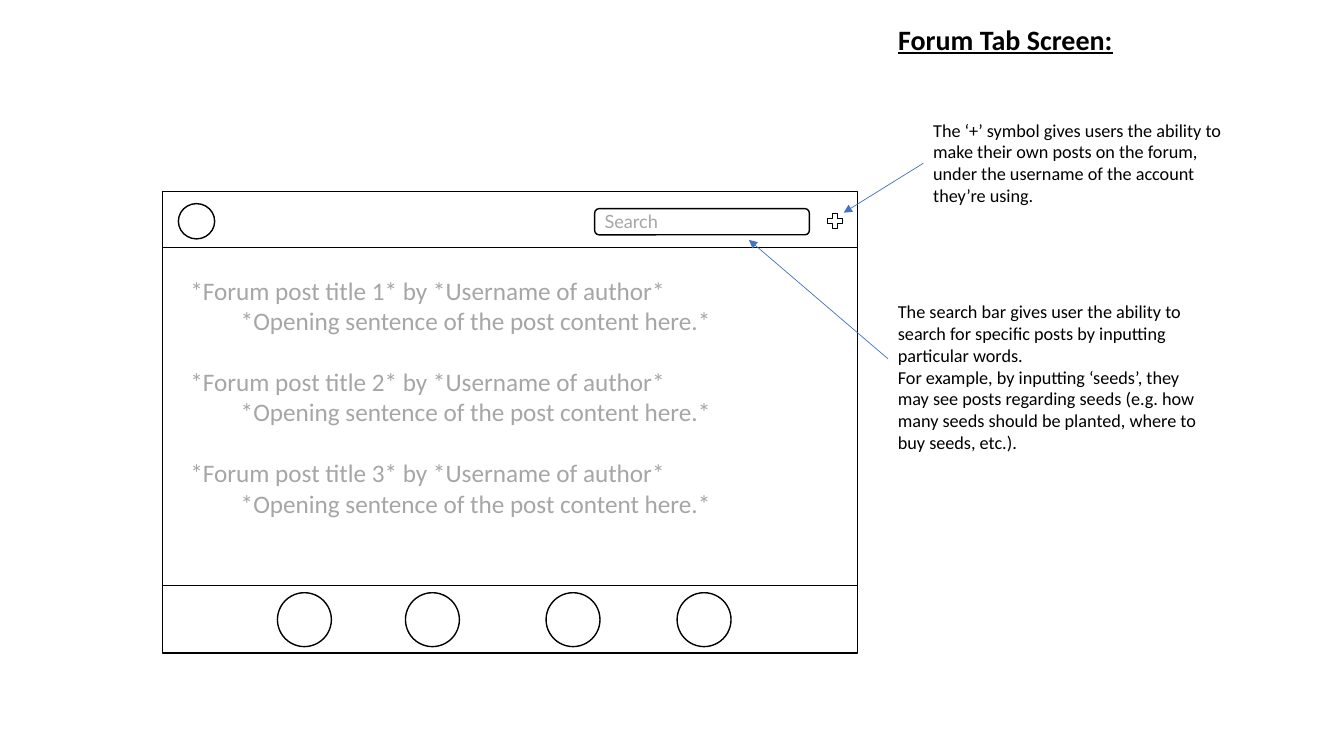
"""Build the annotated wireframe of the forum tab screen."""
from pptx import Presentation
from pptx.dml.color import RGBColor
from pptx.enum.shapes import MSO_CONNECTOR, MSO_SHAPE as Shape
from pptx.enum.text import MSO_ANCHOR, MSO_AUTO_SIZE as AutoSize, PP_ALIGN
from pptx.oxml.ns import qn
from pptx.util import Inches, Pt
from lxml.etree import SubElement

THEME = {
    "ink": RGBColor(0, 0, 0),
    "paper": RGBColor(255, 255, 255),
    "hint": RGBColor(0xA6, 0xA6, 0xA6),
    "pointer": RGBColor(0x44, 0x72, 0xC4),
    "thick": Pt(1),
    "thin": Pt(0.5),
    "post_gap": Pt(22),
}
STYLES = {
    "title": {"name": "Calibri", "size": Pt(20), "bold": True, "underline": True},
    "note": {"name": "Calibri", "size": Pt(13)},
    "post": {"name": "Calibri", "size": Pt(18)},
    "search": {"name": "Lato", "size": Pt(13)},
}
COLUMNS, ROWS = 160, 90
CELL = Inches(1 / 12)

deck = Presentation()
deck.slide_width, deck.slide_height = COLUMNS * CELL, ROWS * CELL
slide = deck.slides.add_slide(deck.slide_layouts[5])


def cells(*lengths):
    return [round(length * CELL) for length in lengths]


def write(holder, lines, style, colour, wrap=True):
    frame = holder.text_frame
    frame.word_wrap = wrap
    frame.auto_size = AutoSize.SHAPE_TO_FIT_TEXT
    frame.vertical_anchor = MSO_ANCHOR.TOP
    for number, (level, line) in enumerate(lines):
        paragraph = frame.paragraphs[0] if number == 0 else frame.add_paragraph()
        paragraph.level = level
        paragraph.alignment = PP_ALIGN.LEFT
        if style == "post" and number and level == 0:
            paragraph.space_before = THEME["post_gap"]
        run = paragraph.add_run()
        run.text = line
        run.font.color.rgb = THEME[colour]
        for attribute, value in STYLES[style].items():
            setattr(run.font, attribute, value)


heading = slide.shapes.title
heading.left, heading.top, heading.width, heading.height = cells(105.72, 2.04, 47.16, 5.28)
write(heading, [(0, "Forum Tab Screen:")], "title", "ink")

screen_left, screen_top, screen_width, screen_height = 19.32, 22.8, 82.74, 54.96
screen_right = screen_left + screen_width
header_row, footer_row = 29.4, 69.72
tab_size, tab_row = 6.42, 70.56

parts = [
    (Shape.RECTANGLE, (screen_left, screen_top, screen_width, screen_height), "thick", None),
    (Shape.OVAL, (21.24, 24.24, 4.32, 4.2), "thick", None),
    (Shape.MATH_PLUS, (98.16, 25.08, 2.4, 2.4), "thin", None),
    (Shape.ROUNDED_RECTANGLE, (70.8, 24.84, 25.56, 3.12), "thick", None),
]
for tab_centre in (36.24, 51.48, 68.22, 83.82):
    tab_box = (tab_centre - tab_size / 2, tab_row, tab_size, tab_size)
    parts.append((Shape.OVAL, tab_box, "thick", "paper"))

for outline, box, weight, filling in parts:
    part = slide.shapes.add_shape(outline, *cells(*box))
    part.shadow.inherit = False
    part.line.color.rgb = THEME["ink"]
    part.line.width = THEME[weight]
    if filling:
        part.fill.solid()
        part.fill.fore_color.rgb = THEME[filling]
    else:
        part.fill.background()

posts = []
for number in (1, 2, 3):
    posts.append((0, f"*Forum post title {number}* by *Username of author*"))
    posts.append((1, "*Opening sentence of the post content here.*"))
feed = slide.shapes.add_textbox(*cells(21.48, 32.16, 80.76, 33.96))
write(feed, posts, "post", "hint")

search_hint = slide.shapes.add_textbox(*cells(70.8, 24.48, 8.88, 3.84))
write(search_hint, [(0, "Search")], "search", "hint", wrap=False)

plus_note = slide.shapes.add_textbox(*cells(109.92, 13.56, 38.76, 11.76))
write(plus_note, [
    (0, "The ‘+’ symbol gives users the ability to make their own posts on the forum, "
        "under the username of the account they’re using."),
], "note", "ink")

search_note = slide.shapes.add_textbox(*cells(105.72, 35.16, 38.76, 19.56))
write(search_note, [
    (0, "The search bar gives user the ability to search for specific posts by "
        "inputting particular words."),
    (0, "For example, by inputting ‘seeds’, they may see posts regarding seeds "
        "(e.g. how many seeds should be planted, where to buy seeds, etc.)."),
], "note", "ink")

strokes = [
    ((screen_left, header_row, screen_right, header_row), "ink", None),
    ((screen_left, footer_row, screen_right, footer_row), "ink", None),
    ((109.92, 19.44, 100.44, 25.32), "pointer", plus_note),
    ((105.72, 42.72, 89.16, 28.56), "pointer", None),
]
for ends, colour, source in strokes:
    stroke = slide.shapes.add_connector(MSO_CONNECTOR.STRAIGHT, *cells(*ends))
    stroke.line.color.rgb = THEME[colour]
    stroke.line.width = THEME["thin"]
    if source:
        stroke.begin_connect(source, 1)
    if colour == "pointer":
        SubElement(stroke.line._get_or_add_ln(), qn("a:tailEnd"), type="triangle")
    SubElement(stroke._element.spPr, qn("a:effectLst"))

deck.save("out.pptx")
